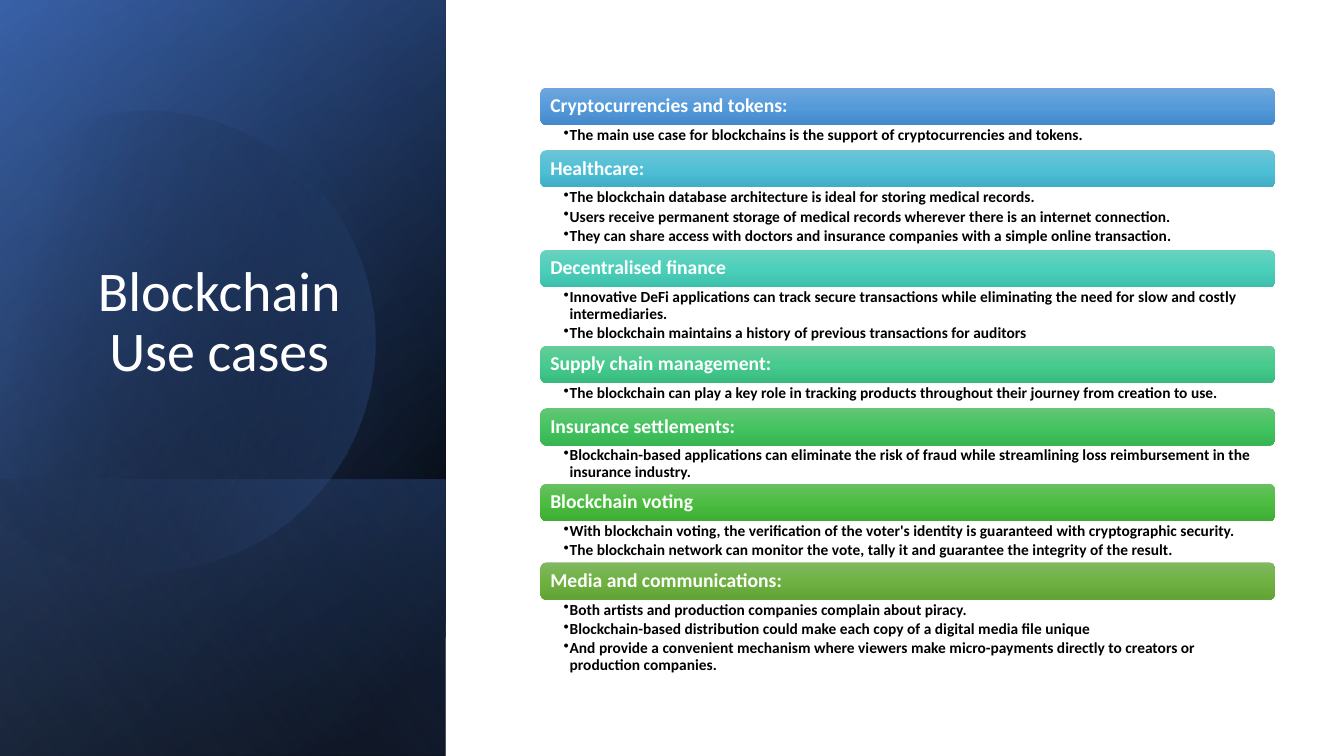
from math import cos, radians, sin
from pptx import Presentation
from pptx.dml.color import RGBColor
from pptx.enum.shapes import MSO_SHAPE
from pptx.enum.text import MSO_ANCHOR, MSO_AUTO_SIZE, PP_ALIGN
from pptx.oxml import parse_xml
from pptx.oxml.ns import nsdecls, qn
from pptx.util import Inches, Pt

WHITE, BLACK = RGBColor(255, 255, 255), RGBColor(0, 0, 0)
THEME = {
    "title": {"name": "Calibri", "size": Pt(40), "bold": False, "color": WHITE},
    "head": {"name": "Calibri", "size": Pt(14), "bold": True, "color": WHITE},
    "list": {"name": "Calibri", "size": Pt(11), "bold": True, "color": BLACK},
    "black": "000000", "navy": "2F5597", "blue": "4472C4", "pale": "8FAADC",
}
DARK, NAVY, BLUE, PALE = (THEME[key] for key in ("black", "navy", "blue", "pale"))


def paint(shape, stops, angle):
    """Fill with a linear gradient of (position, colour, opacity) stops, all in percent."""
    shape.shadow.inherit = False
    shape.line.fill.background()
    shape.fill.background()
    marks = "".join(
        f'<a:gs pos="{place * 1000}"><a:srgbClr val="{color}">'
        f'<a:alpha val="{alpha * 1000}"/></a:srgbClr></a:gs>'
        for place, color, alpha in stops)
    blend = parse_xml(
        f'<a:gradFill {nsdecls("a")} rotWithShape="1"><a:gsLst>{marks}</a:gsLst>'
        f'<a:lin ang="{angle * 60000}" scaled="0"/></a:gradFill>')
    props = shape._element.spPr
    props.replace(props.find(qn("a:noFill")), blend)


def set_text(part, role, **values):
    """Give a paragraph its layout values and the font of its role."""
    for name, value in values.items():
        setattr(part, name, value)
    for name, value in THEME[role].items():
        if name == "color":
            part.font.color.rgb = value
        else:
            setattr(part.font, name, value)


deck = Presentation()
deck.slide_width, deck.slide_height = Inches(13.33), Inches(7.5)
slide = deck.slides.add_slide(deck.slide_layouts[5])
shapes = slide.shapes

# Blue side panel: stacked washes with a disc under the last one
FULL = (-1.54, 1.54, 7.5, 4.42)
WASHES = [
    (FULL, [(8, DARK, 100), (100, NAVY, 100)], 50),
    (FULL, [(0, DARK, 0), (99, BLUE, 46)], 30),
    ((0.84, 3.92, 2.74, 4.42), [(2, BLUE, 29), (100, DARK, 30)], 130),
    (None, [(29, DARK, 0), (100, BLUE, 43)], 30),
    (FULL, [(0, DARK, 0), (99, PALE, 11)], 120),
]
START = 1.49 + 1.1j
CURVES = [
    (2.46 + 1.12j, 3.35 + 1.77j, 3.63 + 2.75j),
    (3.98 + 3.97j, 3.28 + 5.23j, 2.07 + 5.58j),
    (1.31 + 5.8j, 0.53 + 5.61j, -0.03 + 5.14j),
    (-0.15 + 5.03j,),
    (-0.15 + 1.75j,),
    (1.61j,),
    (0.23 + 1.42j, 0.5 + 1.28j, 0.8 + 1.19j),
    (1.03 + 1.13j, 1.26 + 1.1j, START),
]
TILT, CENTER, STEPS = 343.9, 1.585 + 3.345j, 16
outline = [START]
for curve in CURVES:
    if len(curve) == 1:
        outline += curve
        continue
    first, (pull, push, last) = outline[-1], curve
    for step in range(1, STEPS + 1):
        t = step / STEPS
        u = 1 - t
        outline.append(u**3 * first + 3 * u * u * t * pull + 3 * u * t * t * push + t**3 * last)
turn = complex(cos(radians(-TILT)), sin(radians(-TILT)))
level = [CENTER + (point - CENTER) * turn for point in outline]
spots = [(Inches(point.real), Inches(point.imag)) for point in level]

for box, stops, angle in WASHES:
    if box:
        wash = shapes.add_shape(MSO_SHAPE.RECTANGLE, *map(Inches, box))
        wash.rotation = 90
        wash._element.spPr.find(qn("a:xfrm")).set("flipH", "1")
    else:
        maker = shapes.build_freeform(*spots[0])
        maker.add_line_segments(spots[1:], close=True)
        wash = maker.convert_to_shape()
        wash.rotation = TILT
    paint(wash, stops, angle)

title = shapes.title
shapes._spTree.append(title._element)
title.left, title.top, title.width, title.height = map(Inches, (0.5, 1.84, 3.35, 2.62))
frame = title.text_frame
frame.text = "Blockchain Use cases"
for name, value in {"auto_size": MSO_AUTO_SIZE.NONE, "word_wrap": True,
                    "vertical_anchor": MSO_ANCHOR.BOTTOM,
                    "margin_bottom": Inches(0.65)}.items():
    setattr(frame, name, value)
set_text(frame.paragraphs[0], "title", alignment=PP_ALIGN.CENTER, line_spacing=0.9)

# Use cases: heading, list height, bar colours from top to bottom, list
CASES = [
    ("Cryptocurrencies and tokens:", 0.25, ("71A6DB", "559BDB", "448ACA"), [
        "The main use case for blockchains is the support of cryptocurrencies and tokens."]),
    ("Healthcare:", 0.62, ("6EC4D6", "50C0D6", "40AFC5"), [
        "The blockchain database architecture is ideal for storing medical records.",
        "Users receive permanent storage of medical records wherever there is an internet connection.",
        "They can share access with doctors and insurance companies with a simple online transaction."]),
    ("Decentralised finance", 0.58, ("6AD1C0", "4CD0BC", "3CC0AC"), [
        "Innovative DeFi applications can track secure transactions while eliminating "
        "the need for slow and costly intermediaries.",
        "The blockchain maintains a history of previous transactions for auditors"]),
    ("Supply chain management:", 0.25, ("67CC9A", "47CB8E", "39BB7F"), [
        "The blockchain can play a key role in tracking products throughout "
        "their journey from creation to use."]),
    ("Insurance settlements:", 0.38, ("64C677", "44C460", "36B552"), [
        "Blockchain-based applications can eliminate the risk of fraud while "
        "streamlining loss reimbursement in the insurance industry."]),
    ("Blockchain voting", 0.41, ("69C062", "4CBD41", "3FAD34"), [
        "With blockchain voting, the verification of the voter's identity is "
        "guaranteed with cryptographic security.",
        "The blockchain network can monitor the vote, tally it and guarantee "
        "the integrity of the result."]),
    ("Media and communications:", 0.79, ("81B861", "6FB242", "62A336"), [
        "Both artists and production companies complain about piracy.",
        "Blockchain-based distribution could make each copy of a digital media file unique",
        "And provide a convenient mechanism where viewers make micro-payments "
        "directly to creators or production companies."]),
]
LEFT, WIDTH, BAR = 5.36, 7.29, 0.37
SIDES = ("margin_left", "margin_top", "margin_right", "margin_bottom")
top = 0.87
for head, height, colors, points in CASES:
    bar = shapes.add_shape(MSO_SHAPE.ROUNDED_RECTANGLE,
                           *map(Inches, (LEFT, top, WIDTH, BAR)))
    paint(bar, [(place, color, 100) for place, color in zip((0, 50, 100), colors)], 90)
    body = shapes.add_textbox(*map(Inches, (LEFT, top + BAR, WIDTH, height)))
    for box, insets, anchor in ((bar, (0.08, 0.06, 0.08, 0.06), MSO_ANCHOR.MIDDLE),
                                (body, (0.23, 0.02, 0.11, 0.02), MSO_ANCHOR.TOP)):
        frame = box.text_frame
        frame.word_wrap, frame.vertical_anchor = True, anchor
        for side, inset in zip(SIDES, insets):
            setattr(frame, side, Inches(inset))
    bar.text_frame.text = head
    set_text(bar.text_frame.paragraphs[0], "head",
             alignment=PP_ALIGN.LEFT, line_spacing=0.9)
    body.text_frame.text = "\n".join(points)
    for part in body.text_frame.paragraphs:
        props = part._p.get_or_add_pPr()
        props.set("marL", str(Inches(0.06)))
        props.set("indent", str(Inches(-0.06)))
        props.append(parse_xml(f'<a:buChar {nsdecls("a")} char="•"/>'))
        set_text(part, "list", level=1, line_spacing=0.9, space_after=Pt(1.9))
    top += BAR + height

deck.save("out.pptx")
